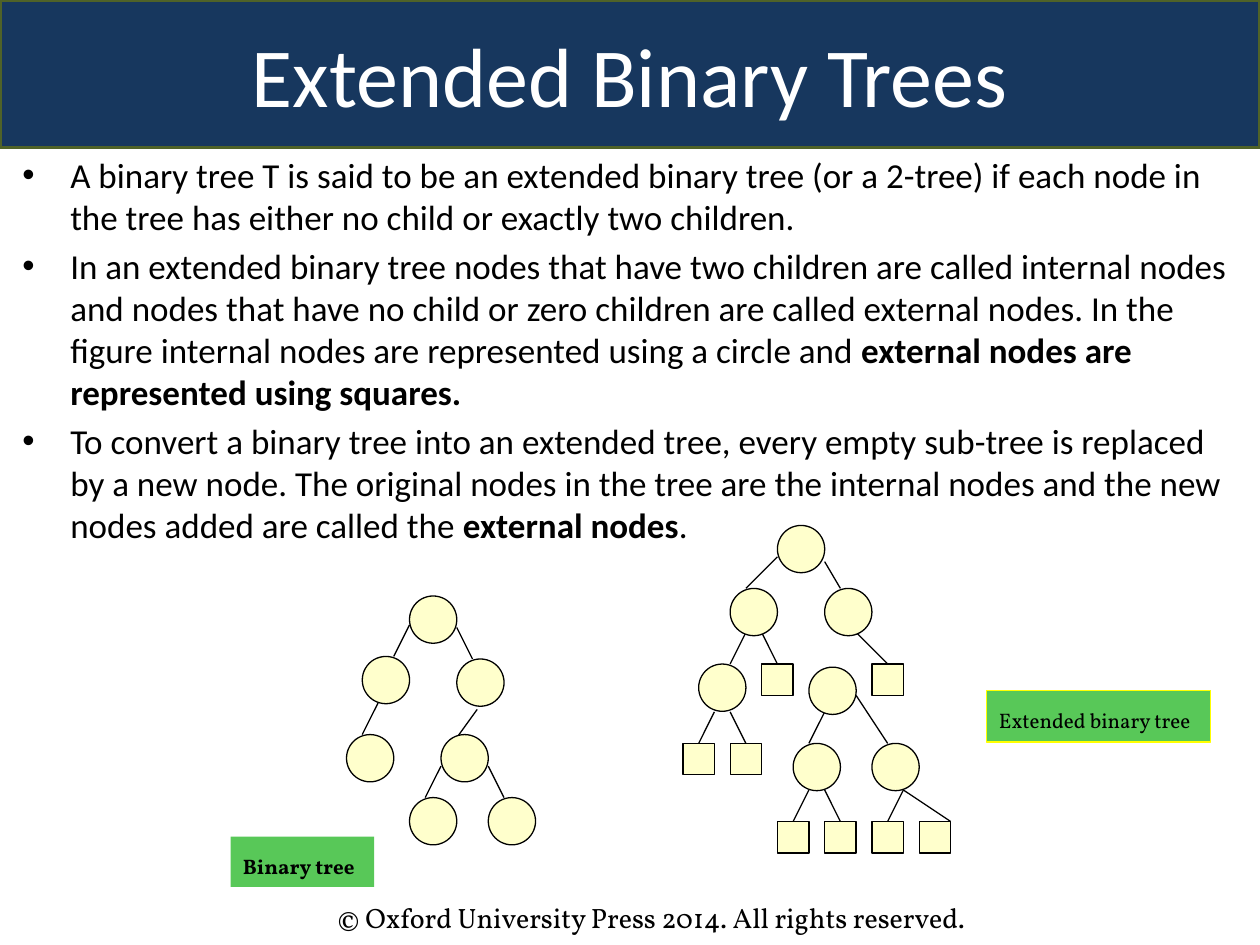
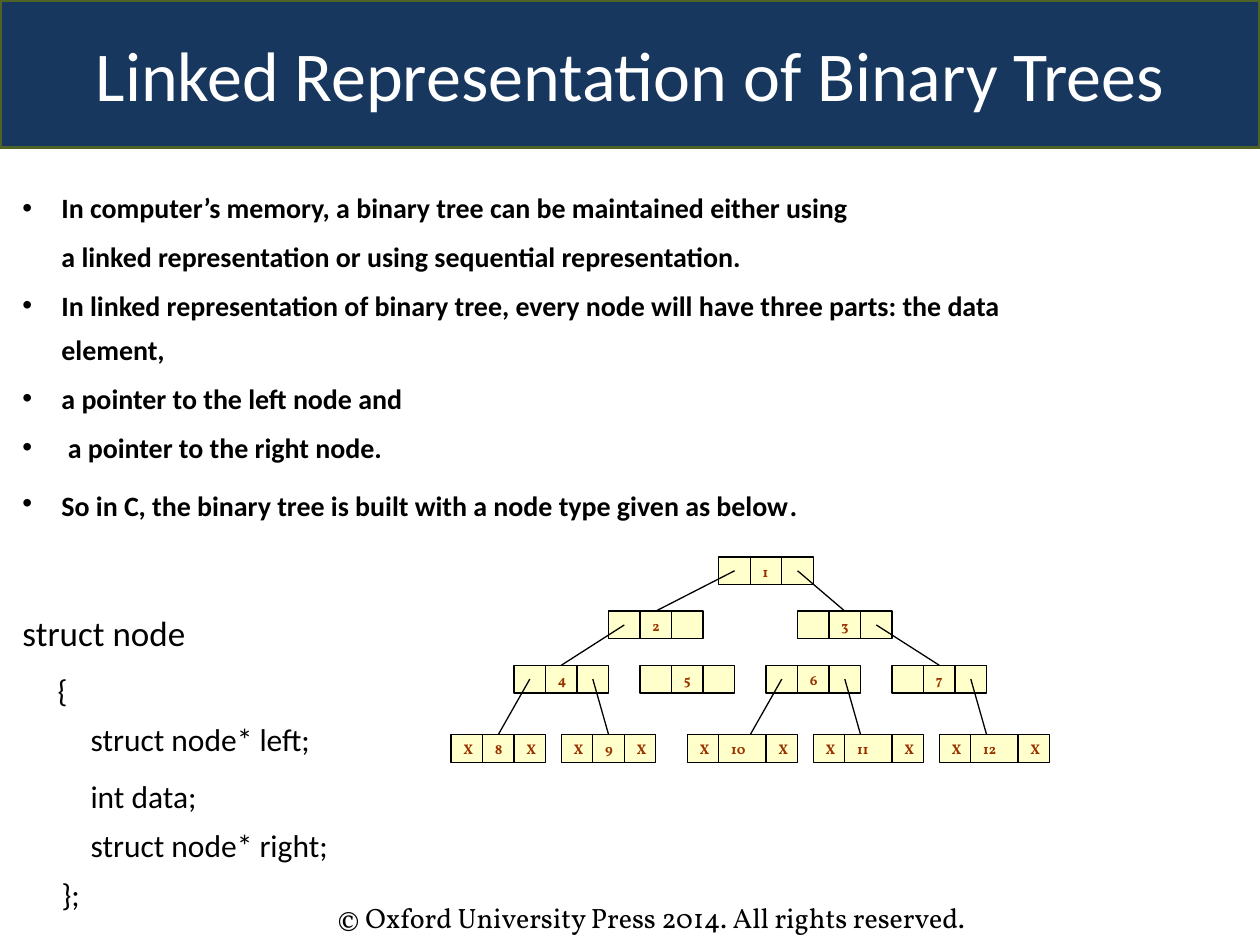
from dataclasses import dataclass
from typing import NamedTuple, Optional

from lxml.etree import SubElement
from pptx import Presentation
from pptx.dml.color import RGBColor
from pptx.enum.shapes import MSO_CONNECTOR, MSO_SHAPE
from pptx.enum.text import MSO_ANCHOR as ANCHOR, MSO_AUTO_SIZE as FIT, PP_ALIGN as ALIGN
from pptx.oxml.ns import qn
from pptx.util import Emu, Inches, Pt

NAVY, OLIVE, WHITE, BLACK = "17375E", "4F6228", "FFFFFF", "000000"
CREAM, RUST, GREEN, YELLOW = "FFFFCC", "993300", "58C858", "FFFF00"
SANS, SERIF = "Calibri", "Vollkorn"
WIDTH, HEIGHT = Inches(10), Inches(7.5)
COLUMNS = 80
THIN = 0.75
CELL, CELL_HEIGHT = 2, 1.76
CIRCLE, SQUARE = 3, 2


class Box(NamedTuple):
    left: float
    top: float
    width: float
    height: float


class Run(NamedTuple):
    text: str
    size: float
    bold: bool = False
    font: str = SANS
    color: str = BLACK


class Para(NamedTuple):
    runs: list[Run]
    margin: float = 0
    bullet: bool = False
    before: float = 0
    spacing: float = 1


class Edge(NamedTuple):
    x1: float
    y1: float
    x2: float
    y2: float


@dataclass
class Tree:
    left: float
    top: float
    circles: list[tuple[float, float]]
    squares: list[tuple[float, float]]
    edges: list[Edge]


@dataclass
class Record:
    value: int
    left: float
    level: int
    left_child: Optional[int] = None
    right_child: Optional[int] = None
    leaf: bool = False
    entry: float = 3


BINARY_TREE = Tree(
    22, 37.84,
    [(4, 0), (1, 3.84), (7, 4), (0, 8.8), (6, 8.8), (4, 12.8), (9, 12.8)],
    [],
    [Edge(4, 1.84, 3, 3.84), Edge(7, 2, 8, 4), Edge(2, 6.8, 1, 8.8),
     Edge(8.3, 7.2, 6.64, 9.5), Edge(6, 10.8, 5, 12.8), Edge(9, 10.8, 10, 12.8)],
)
EXTENDED_TREE = Tree(
    43.36, 33.36,
    [(6, 0), (3, 4), (9, 4), (1, 8.8), (8, 9), (7, 13.84), (12, 13.84)],
    [(5, 8.8), (12, 8.8), (0, 13.84), (3, 13.84),
     (6, 18.8), (9, 18.8), (12, 18.8), (15, 18.8)],
    [Edge(6, 2, 4, 4), Edge(9, 2.3, 10, 4), Edge(4, 6.8, 3, 8.8),
     Edge(5, 6.8, 6, 8.8), Edge(11, 6.8, 13, 8.8), Edge(2, 11.84, 1, 13.84),
     Edge(3, 11.84, 4, 13.84), Edge(9, 11.84, 8, 13.84), Edge(11, 10.8, 13, 13.84),
     Edge(8, 16.8, 7, 18.8), Edge(9, 16.8, 10, 18.8),
     Edge(14, 16.8, 13, 18.8), Edge(14, 16.8, 17, 18.8)],
)
RECORDS_LEFT = 28.64
LEVEL_TOPS = [35.36, 38.8, 42.24, 46.64]
RECORDS = [
    Record(1, 17, 0, 2, 3),
    Record(2, 10, 1, left_child=4),
    Record(3, 22, 1, right_child=7),
    Record(4, 4, 2, 8, 9),
    Record(5, 12, 2),
    Record(6, 20, 2, 10, 11),
    Record(7, 28, 2, right_child=12),
    Record(8, 0, 3, leaf=True),
    Record(9, 7, 3, leaf=True),
    Record(10, 15, 3, leaf=True, entry=4),
    Record(11, 23, 3, leaf=True),
    Record(12, 31, 3, leaf=True),
]

DEFINITIONS = [
    [Run("A binary tree T is said to be an extended binary tree (or a 2-tree) if each node in "
         "the tree has either no child or exactly two children.", 20)],
    [Run("In an extended binary tree nodes that have two children are called internal nodes "
         "and nodes that have no child or zero children are called external nodes. In the "
         "figure internal nodes are represented using a circle and ", 20),
     Run("external nodes are represented using squares.", 20, True)],
    [Run("To convert a binary tree into an extended tree, every empty sub-tree is replaced "
         "by a new node. The original nodes in the tree are the internal nodes and the new "
         "nodes added are called the ", 20),
     Run("external nodes", 20, True), Run(".", 20)],
]
LINKED_POINTS = [
    ("In computer’s memory, a binary tree can be maintained either using", True),
    ("a linked representation or using sequential representation.", False),
    ("In linked representation of binary tree, every node will have three parts: "
     "the data element,", True),
    ("a pointer to the left node and", True),
    (" a pointer to the right node.", True),
]
STRUCT_LINES = [
    ("struct node", 20, 0, 0),
    ("{", 18, 0.28, 4),
    ("struct node* left;", 18, 0.54, 0),
    ("int data;", 18, 0.54, 4),
    ("struct node* right;", 18, 0.54, 0),
    ("};", 18, 0.31, 0),
]


def rgb(color: str) -> RGBColor:
    return RGBColor.from_string(color)


def grid(n: float) -> Emu:
    return Emu(round(WIDTH * n / COLUMNS))


def place(box: Box) -> list[Emu]:
    return [grid(n) for n in box]


def paint(sp, fill: str, line: Optional[str], width: float = THIN) -> None:
    sp.fill.solid()
    sp.fill.fore_color.rgb = rgb(fill)
    if line is None:
        sp.line.fill.background()
    else:
        sp.line.color.rgb = rgb(line)
        sp.line.width = Pt(width)


def add_run(p, run: Run) -> None:
    r = p.add_run()
    r.text = run.text
    r.font.name, r.font.size, r.font.bold = run.font, Pt(run.size), run.bold
    r.font.color.rgb = rgb(run.color)


def write(tf, paras: list[Para]) -> None:
    for i, para in enumerate(paras):
        p = tf.add_paragraph() if i else tf.paragraphs[0]
        pPr = p._p.get_or_add_pPr()
        pPr.set("marL", str(Inches(para.margin)))
        pPr.set("indent", str(-Inches(para.margin) if para.bullet else 0))
        if para.bullet:
            SubElement(pPr, qn("a:buFont")).set("typeface", "Arial")
            SubElement(pPr, qn("a:buChar")).set("char", "•")
        p.alignment = ALIGN.LEFT
        p.line_spacing = para.spacing
        p.space_before = Pt(para.before if i else 0)
        for run in para.runs:
            add_run(p, run)


def add_text(s, box: Box, paras: list[Para]) -> None:
    tf = s.shapes.add_textbox(*place(box)).text_frame
    tf.word_wrap = True
    write(tf, paras)


def add_block(s, kind: MSO_SHAPE, box: Box, fill: str = CREAM, line: Optional[str] = BLACK):
    sp = s.shapes.add_shape(kind, *place(box))
    sp.shadow.inherit = False
    paint(sp, fill, line)
    return sp


def add_edge(s, edge: Edge) -> None:
    cxn = s.shapes.add_connector(MSO_CONNECTOR.STRAIGHT, *[grid(n) for n in edge])
    cxn.line.color.rgb = rgb(BLACK)
    cxn.line.width = Pt(THIN)
    SubElement(cxn._element.spPr, qn("a:effectLst"))


def add_label(s, box: Box, text: str, bold: bool, line: Optional[str]) -> None:
    tf = add_block(s, MSO_SHAPE.RECTANGLE, box, GREEN, line).text_frame
    tf.word_wrap = False
    tf.vertical_anchor = ANCHOR.MIDDLE
    write(tf, [Para([Run(text, 12, bold, SERIF), Run(" ", 18, False, SERIF)])])


def add_cell(s, box: Box, text: str) -> None:
    sp = add_block(s, MSO_SHAPE.RECTANGLE, box)
    sp.text_frame.vertical_anchor = ANCHOR.TOP
    if text:
        write(sp.text_frame, [Para([Run(text, 8, True, SERIF, RUST)])])


def add_tree(s, tree: Tree) -> None:
    for e in tree.edges:
        add_edge(s, Edge(tree.left + e.x1, tree.top + e.y1, tree.left + e.x2, tree.top + e.y2))
    for kind, nodes, size in ((MSO_SHAPE.OVAL, tree.circles, CIRCLE),
                              (MSO_SHAPE.RECTANGLE, tree.squares, SQUARE)):
        for x, y in nodes:
            add_block(s, kind, Box(tree.left + x, tree.top + y, size, size))


def add_records(s, records: list[Record]) -> None:
    by_value = {rec.value: rec for rec in records}
    for rec in records:
        x, y = RECORDS_LEFT + rec.left, LEVEL_TOPS[rec.level]
        pointer = "X" if rec.leaf else ""
        middle = CELL if rec.value < 10 else CELL * 1.5
        for text, width in ((pointer, CELL), (str(rec.value), middle), (pointer, CELL)):
            add_cell(s, Box(x, y, width, CELL_HEIGHT), text)
            x += width
    for rec in records:
        for value, start in ((rec.left_child, CELL / 2), (rec.right_child, CELL * 2.5)):
            if value:
                child = by_value[value]
                add_edge(s, Edge(RECORDS_LEFT + rec.left + start,
                                 LEVEL_TOPS[rec.level] + CELL_HEIGHT / 2,
                                 RECORDS_LEFT + child.left + child.entry,
                                 LEVEL_TOPS[child.level]))


def new_slide(prs, title: str, size: float):
    s = prs.slides.add_slide(prs.slide_layouts[5])
    sp = s.shapes.title
    sp.left, sp.top, sp.width, sp.height = place(Box(0, 0, COLUMNS, 9.36))
    paint(sp, NAVY, OLIVE, 2)
    tf = sp.text_frame
    tf.auto_size, tf.vertical_anchor = FIT.NONE, ANCHOR.MIDDLE
    p = tf.paragraphs[0]
    p.alignment = ALIGN.CENTER
    add_run(p, Run(title, size, color=WHITE))
    add_text(s, Box(20.64, 56.8, 47.36, 2.96),
             [Para([Run("© Oxford University Press 2014. All rights reserved.", 16, font=SERIF)])])
    return s


def extended_trees(prs) -> None:
    s = new_slide(prs, "Extended Binary Trees", 48)
    add_text(s, Box(0.64, 9.36, 78.64, 26.64),
             [Para(runs, 0.38, True, 4) for runs in DEFINITIONS])
    add_tree(s, BINARY_TREE)
    add_tree(s, EXTENDED_TREE)
    add_label(s, Box(14.64, 53.12, 9.12, 3.2), "Binary tree", True, None)
    add_label(s, Box(62.64, 43.84, 14.24, 3.28), "Extended binary tree", False, YELLOW)


def linked_representation(prs) -> None:
    s = new_slide(prs, "Linked Representation of Binary Trees", 40)
    points = [Para([Run(text, 16, True)], 0.31, bullet, 3, 1.3)
              for text, bullet in LINKED_POINTS]
    points.append(Para([Run("So in C, the binary tree is built with a node type given as below",
                            16, True), Run(".", 20)], 0.31, True, 3, 1.3))
    add_text(s, Box(0.64, 11.08, 69.36, 22), points)
    add_text(s, Box(0.64, 37.6, 27, 19),
             [Para([Run(text, size)], margin, False, before, 1.3)
              for text, size, margin, before in STRUCT_LINES])
    add_records(s, RECORDS)


def main() -> None:
    prs = Presentation()
    prs.slide_width, prs.slide_height = WIDTH, HEIGHT
    extended_trees(prs)
    linked_representation(prs)
    prs.save("out.pptx")


if __name__ == "__main__":
    main()
